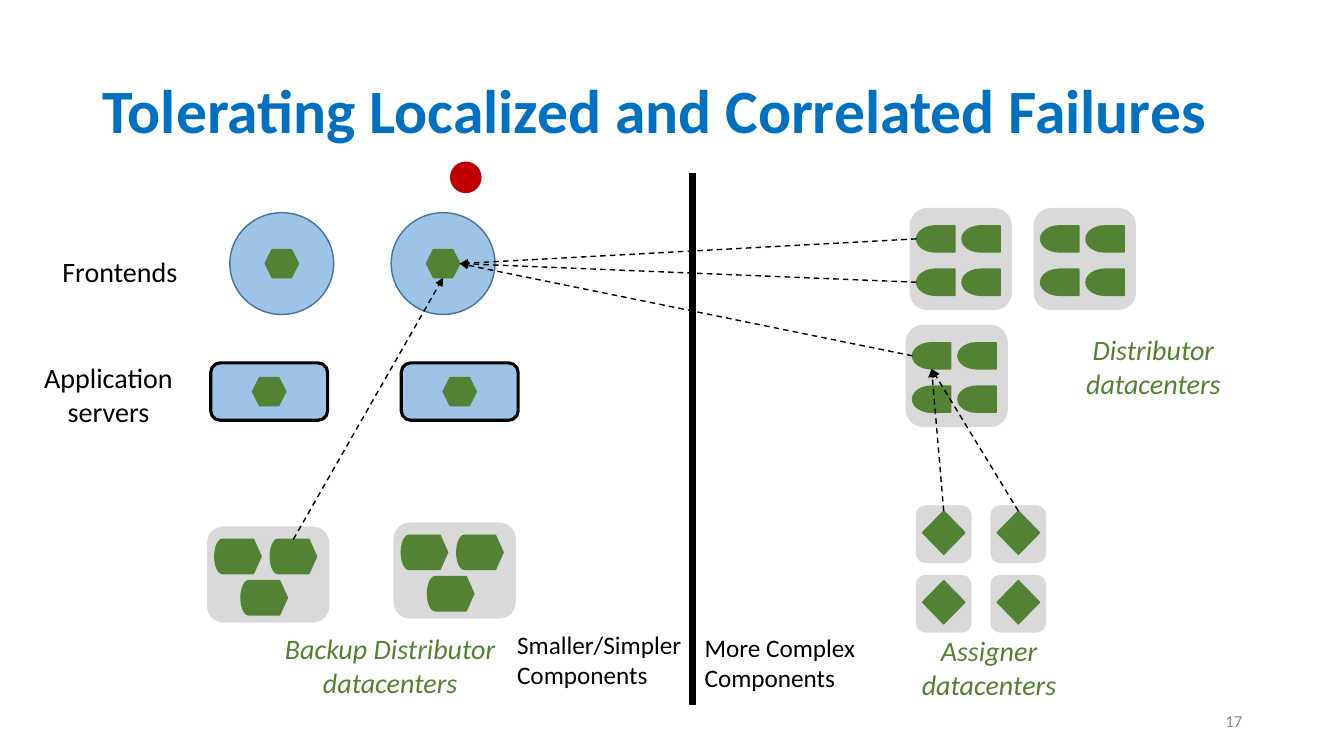
"""Build the slide on localized and correlated failures."""
from dataclasses import dataclass

from lxml.etree import SubElement
from pptx import Presentation
from pptx.dml.color import RGBColor
from pptx.enum.dml import MSO_LINE
from pptx.enum.shapes import MSO_CONNECTOR as LINK, MSO_SHAPE as KIND
from pptx.enum.text import MSO_ANCHOR as ANCHOR, PP_ALIGN as ALIGN
from pptx.oxml.ns import qn
from pptx.util import Inches, Pt


@dataclass(frozen=True)
class Theme:
    """Colours, font and type sizes."""
    font: str = "Calibri"
    title: str = "0070C0"
    ink: str = "000000"
    green: str = "548235"
    blue: str = "9DC3E6"
    edge: str = "43739E"
    grey: str = "D9D9D9"
    red: str = "C00000"
    faint: str = "8C8C8C"
    head: int = 44
    label: int = 20
    note: int = 18
    small: int = 12


T = Theme()
WIDE, HIGH = 13.33, 7.5

TITLE = ("Tolerating Localized and Correlated Failures", (0.92, 0.4, 11.5, 1.45))
NUMBER = ("17", (9.42, 6.95, 3, 0.4))
TIERS = [
    (["Frontends"], (0.52, 2.48, 1.35, 0.44)),
    (["Application", "servers"], (0.34, 3.53, 1.49, 0.77)),
]
SITES = [
    ("Backup Distributor datacenters", (2.69, 6.22, 2.36, 0.77)),
    ("Assigner datacenters", (8.63, 6.24, 2.36, 0.77)),
    ("Distributor datacenters", (10.26, 3.25, 2.36, 0.77)),
]
SIDES = [
    ("Smaller/Simpler\nComponents", (5.03, 6.19, 1.91, 0.71)),
    ("More Complex\nComponents", (6.89, 6.22, 1.71, 0.71)),
]
FRONTS = [(x, 2.11, 1.03, 1.01) for x in (2.28, 3.88)]
SERVERS = [(x, 3.6, 1.16, 0.57) for x in (2.09, 3.98)]
WALL = (6.84, 1.72, 0.06, 5.27)
FAULT = (4.47, 1.61, 0.3, 0.3)
HEX = (0.33, 0.28)

DISTRIBUTORS = [(9.03, 2.07), (10.26, 2.07), (8.99, 3.23)]
BACKUPS = [(2.06, 5.23), (3.91, 5.19)]
ASSIGNERS = [(x, y) for y in (5.02, 5.71) for x in (9.09, 9.83)]
QUAD = [(0.06 + 0.45 * col, 0.17 + 0.43 * row) for row in (0, 1) for col in (0, 1)]
TRIO = [(0.07, 0.12), (0.62, 0.12), (0.33, 0.53)]
CELL = {
    "distributor": ((1, 1), KIND.FLOWCHART_DELAY, (0.38, 0.26), QUAD, 180),
    "backup": ((1.2, 0.94), KIND.FLOWCHART_DISPLAY, (0.46, 0.34), TRIO, 180),
    "assigner": ((0.54, 0.56), KIND.DIAMOND, (0.42, 0.43), [(0.06, 0.05)], 0),
}


def rgb(code):
    return RGBColor.from_string(code)


def draw(host, kind, box, fill, line=None, width=1, turn=0):
    shape = host.add_shape(kind, *map(Inches, box))
    shape.shadow.inherit = False
    shape.fill.solid()
    shape.fill.fore_color.rgb = rgb(fill)
    shape.line.color.rgb = rgb(line or fill)
    shape.line.width = Pt(width)
    shape.rotation = turn
    return shape


def write(host, lines, box, size, color, aligns=(ALIGN.LEFT,), wrap=True,
          anchor=ANCHOR.TOP, bold=False, italic=False):
    frame = host.add_textbox(*map(Inches, box)).text_frame
    frame.word_wrap = wrap
    frame.vertical_anchor = anchor
    for i, line in enumerate(lines):
        para = frame.add_paragraph() if i else frame.paragraphs[0]
        para.text = line
        para.alignment = aligns[min(i, len(aligns) - 1)]
        for run in para.runs:
            font = run.font
            font.name, font.size, font.color.rgb = T.font, Pt(size), rgb(color)
            font.bold, font.italic = bold, italic
    return frame


def center(host, box):
    x, y, w, h = box
    spot = (x + (w - HEX[0]) / 2, y + (h - HEX[1]) / 2, *HEX)
    draw(host, KIND.HEXAGON, spot, T.green)
    return spot


def cluster(host, name, place):
    """Draw one datacenter and return its inner parts."""
    size, kind, part, spots, turn = CELL[name]
    group = host.add_group_shape().shapes
    draw(group, KIND.ROUNDED_RECTANGLE, (*place, *size), T.grey)
    return [draw(group, kind, (place[0] + x, place[1] + y, *part), T.green, turn=turn)
            for x, y in spots]


def mid(part, side):
    """Give the middle of a side: 0 top, 1 left, 2 bottom, 3 right."""
    across, down = ((0.5, 0), (0, 0.5), (0.5, 1), (1, 0.5))[side]
    return int(part.left + part.width * across), int(part.top + part.height * down)


def arrow(host, start, end, part=None):
    link = host.add_connector(LINK.STRAIGHT, *start, *end)
    if part is not None:
        link.begin_connect(part, 0)
    link.line.color.rgb = rgb(T.ink)
    link.line.width = Pt(1)
    link.line.dash_style = MSO_LINE.DASH
    SubElement(link.line._get_or_add_ln(), qn("a:tailEnd"), type="triangle")
    SubElement(link._element.spPr, qn("a:effectLst"))


def main():
    deck = Presentation()
    deck.slide_width, deck.slide_height = Inches(WIDE), Inches(HIGH)
    host = deck.slides.add_slide(deck.slide_layouts[6]).shapes

    text, box = TITLE
    head = write(host, [text], box, T.head, T.title, anchor=ANCHOR.MIDDLE, bold=True)
    head.paragraphs[0].line_spacing = 0.9
    for lines, box in TIERS:
        write(host, lines, box, T.label, T.ink, (ALIGN.LEFT, ALIGN.CENTER), wrap=False)

    for box in FRONTS:
        draw(host, KIND.OVAL, box, T.blue, T.edge)
    for box in SERVERS:
        draw(host, KIND.ROUNDED_RECTANGLE, box, T.blue, T.ink, 2.25)

    near, _, low = [cluster(host, "distributor", at) for at in DISTRIBUTORS]
    backup = [cluster(host, "backup", at) for at in BACKUPS][0]
    gems = [cluster(host, "assigner", at)[0] for at in ASSIGNERS]

    x, y, w, h = [center(host, box) for box in FRONTS + SERVERS][1]
    right = Inches(x + w), Inches(y + h / 2)
    base = Inches(x + w / 2), Inches(y + h)
    for part in (near[0], near[2], low[0]):
        arrow(host, mid(part, 1), right)
    for gem in gems[:2]:
        arrow(host, mid(gem, 0), mid(low[0], 2), gem)
    arrow(host, mid(backup[1], 0), base)

    for text, box in SITES:
        write(host, [text], box, T.label, T.green, (ALIGN.CENTER,), italic=True)
    draw(host, KIND.RECTANGLE, WALL, T.ink)
    for text, box in SIDES:
        write(host, [text], box, T.note, T.ink, wrap=False)
    text, box = NUMBER
    write(host, [text], box, T.small, T.faint, (ALIGN.RIGHT,), anchor=ANCHOR.MIDDLE)
    draw(host, KIND.OVAL, FAULT, T.red)

    deck.save("out.pptx")


if __name__ == "__main__":
    main()
